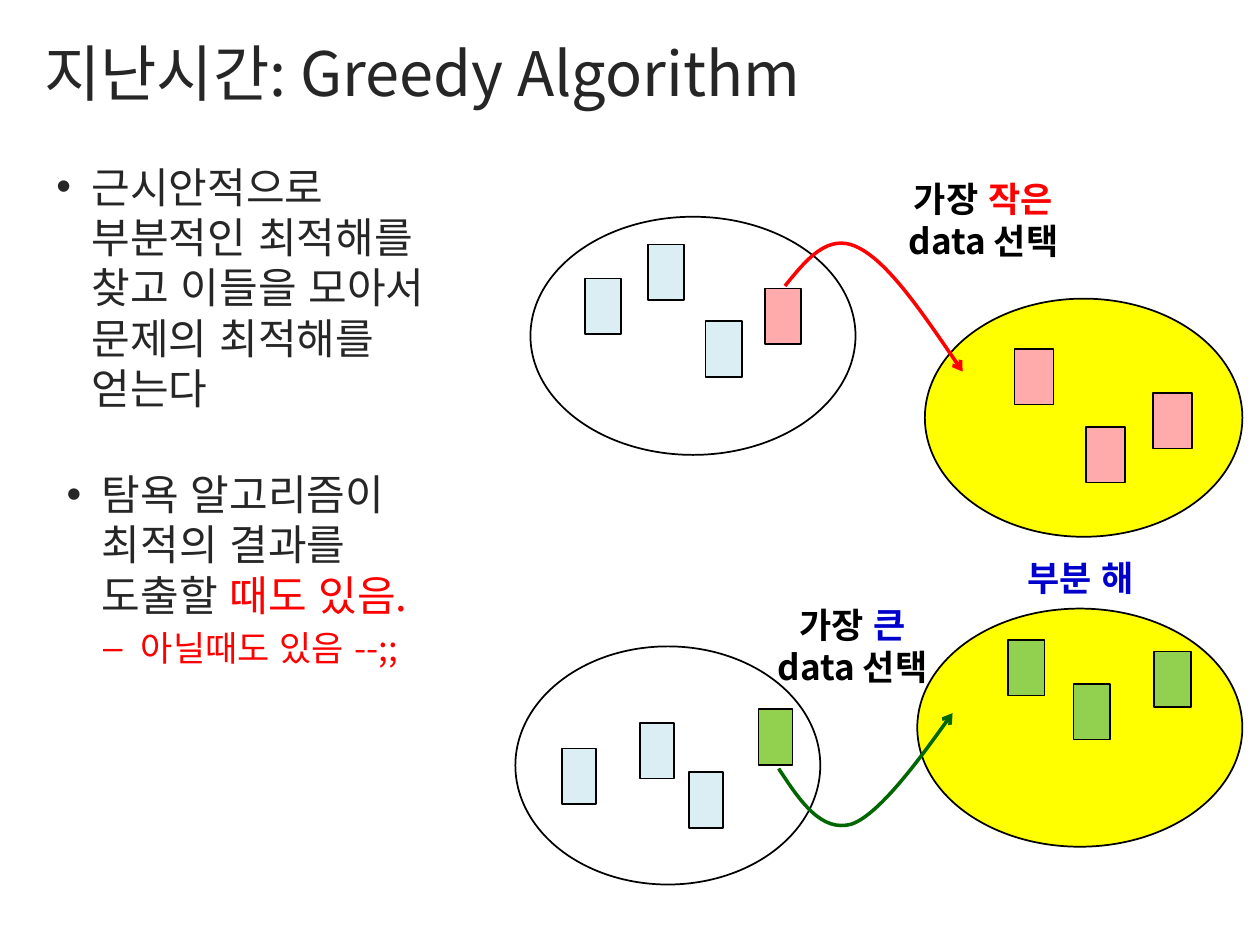
from lxml import etree
from pptx import Presentation
from pptx.dml.color import RGBColor
from pptx.enum.lang import MSO_LANGUAGE_ID as Lang
from pptx.enum.shapes import MSO_SHAPE as Kind
from pptx.enum.text import MSO_ANCHOR as Anchor, MSO_AUTO_SIZE as Fit, PP_ALIGN as Align
from pptx.oxml.ns import qn
from pptx.util import Inches, Pt

FONT = "Noto Sans CJK KR"
INK = RGBColor(0x26, 0x26, 0x26)
BLACK = RGBColor(0, 0, 0)
RED = RGBColor(0xFF, 0, 0)
BLUE = RGBColor(0, 0, 0xCC)
FOREST = RGBColor(0, 0x66, 0)
YELLOW = RGBColor(0xFF, 0xFF, 0)
PALE = RGBColor(0xDB, 0xEE, 0xF4)
GREEN = RGBColor(0x92, 0xD0, 0x50)
PINK = RGBColor(0xFF, 0xAB, 0xAB)
CARD_H, OVAL_H = 0.44, 1.89
LEAD = 1.2  # line pitch as a share of the text size

# Content: paragraphs are lists of (text, colour) runs
TITLE = [("지난시간: Greedy Algorithm", INK)]
# box, then (size, indent, hang, bullet, runs) for each paragraph
NOTES = [
    ((0.35, 1.23, 3.53, 5.67), [
        (24, 0.28, 0.28, "•",
         [("근시안적으로 부분적인 최적해를 찾고 이들을 모아서 문제의 최적해를 얻는다", INK)])]),
    ((0.43, 3.67, 3.25, 2.13), [
        (24, 0.28, 0.28, "•",
         [("탐욕 알고리즘이 최적의 결과를 도출할 ", INK), ("때도 있음.", RED)]),
        (20, 0.59, 0.3, "–", [("아닐때도 있음 --;;", RED)])]),
]
# oval (left, top, width), oval fill, card width, card line, cards (left, top, fill)
SETS = [
    ((4.09, 5.13, 2.42), None, 0.27, 1,
     [(4.46, 5.94, PALE), (5.47, 6.13, PALE), (5.08, 5.74, PALE), (6.02, 5.63, GREEN)]),
    ((7.28, 4.83, 2.58), YELLOW, 0.29, 1,
     [(8, 5.08, GREEN), (8.52, 5.43, GREEN), (9.16, 5.17, GREEN)]),
    ((7.34, 2.37, 2.52), YELLOW, 0.31, 0.75,
     [(9.15, 3.12, PINK), (8.05, 2.77, PINK), (8.62, 3.39, PINK)]),
    ((4.21, 1.72, 2.58), None, 0.29, 1,
     [(6.07, 2.29, PINK), (5.6, 2.55, PALE), (5.14, 1.94, PALE), (4.64, 2.21, PALE)]),
]
LABELS = [
    ((5.94, 4.74, 1.65, 0.77),
     [[("가장 ", BLACK), ("큰", BLUE)], [("data 선택", BLACK)]]),
    ((7.59, 4.37, 1.97, 0.44), [[("부분 해", BLUE)]]),
    ((6.98, 1.36, 1.65, 0.77),
     [[("가장 ", BLACK), ("작은", RED)], [("data 선택", BLACK)]]),
]
# Bezier points: a start, then three for each curve
ARROWS = [
    (FOREST, [(6.18, 6.1), (6.35, 6.36), (6.52, 6.61), (6.76, 6.54),
              (6.99, 6.46), (7.43, 5.84), (7.56, 5.66)]),
    (RED, [(6.23, 2.27), (6.4, 2.06), (6.57, 1.85), (6.8, 1.96),
           (7.04, 2.07), (7.34, 2.51), (7.64, 2.95)]),
]

deck = Presentation()
deck.slide_width, deck.slide_height = Inches(10), Inches(7.5)
slide = deck.slides.add_slide(deck.slide_layouts[6])


def add_box(box, wrap=True):
    frame = slide.shapes.add_textbox(*map(Inches, box)).text_frame
    frame.word_wrap = wrap
    return frame


def add_para(frame, first, runs, size, bold=False):
    para = frame.paragraphs[0] if first else frame.add_paragraph()
    para.line_spacing = Pt(size * LEAD)
    for text, color in runs:
        run = para.add_run()
        run.text = text
        font = run.font
        font.name, font.size, font.bold = FONT, Pt(size), bold
        font.color.rgb = color
        font.language_id = Lang.KOREAN
        east = etree.SubElement(font._element, qn("a:ea"))
        east.set("typeface", FONT)
    return para


def add_bullet(para, indent, hang, mark):
    props = para._p.get_or_add_pPr()
    props.set("marL", str(Inches(indent)))
    props.set("indent", str(-Inches(hang)))
    etree.SubElement(props, qn("a:buFont")).set("typeface", "Arial")
    etree.SubElement(props, qn("a:buChar")).set("char", mark)


def add_shape(group, kind, box, fill, width):
    shape = group.shapes.add_shape(kind, *map(Inches, box))
    shape.shadow.inherit = False
    if fill is None:
        shape.fill.background()
    else:
        shape.fill.solid()
        shape.fill.fore_color.rgb = fill
    shape.line.color.rgb = BLACK
    shape.line.width = Pt(width)


def add_curve(color, points):
    start, *rest = [(Inches(x), Inches(y)) for x, y in points]
    pen = slide.shapes.build_freeform(*start)
    pen.add_line_segments(rest, close=False)
    shape = pen.convert_to_shape()
    shape.shadow.inherit = False
    shape.fill.background()
    shape.line.color.rgb = color
    shape.line.width = Pt(2)
    # Turn each three straight steps into one cubic curve
    steps = list(shape._element.iter(qn("a:lnTo")))
    for first in range(0, len(steps), 3):
        curve = etree.Element(qn("a:cubicBezTo"))
        steps[first].addprevious(curve)
        for step in steps[first:first + 3]:
            curve.append(step[0])
            step.getparent().remove(step)
    tail = etree.SubElement(shape.line._get_or_add_ln(), qn("a:tailEnd"))
    tail.set("type", "arrow")


# Title
frame = add_box((0, 0, 8.43, 0.91), wrap=False)
frame.margin_left, frame.margin_top = Inches(0.35), Inches(0.28)
frame.margin_right = frame.margin_bottom = 0
frame.vertical_anchor = Anchor.TOP
add_para(frame, True, TITLE, 35).alignment = Align.LEFT

# Bulleted notes
for box, paras in NOTES:
    frame = add_box(box)
    for row, (size, indent, hang, mark, runs) in enumerate(paras):
        para = add_para(frame, row == 0, runs, size)
        para.space_before = Pt(4)
        add_bullet(para, indent, hang, mark)

# Ovals with their cards
for (left, top, width), fill, card_w, line, cards in SETS:
    group = slide.shapes.add_group_shape()
    add_shape(group, Kind.OVAL, (left, top, width, OVAL_H), fill, 1)
    for x, y, tint in cards:
        add_shape(group, Kind.RECTANGLE, (x, y, card_w, CARD_H), tint, line)

# Labels
for box, paras in LABELS:
    frame = add_box(box)
    frame.auto_size = Fit.SHAPE_TO_FIT_TEXT
    for row, runs in enumerate(paras):
        add_para(frame, row == 0, runs, 20, bold=True).alignment = Align.CENTER

# Curved arrows
for color, points in ARROWS:
    add_curve(color, points)

deck.save("out.pptx")
